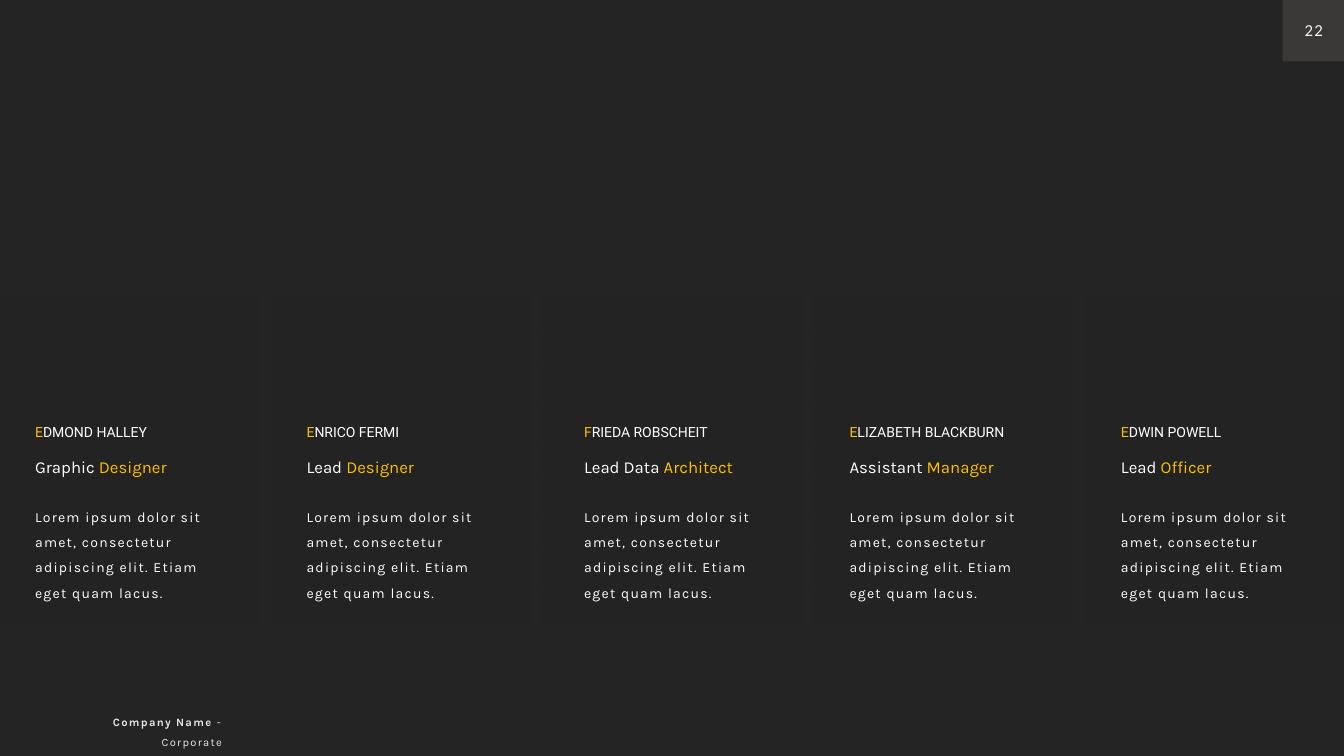
from lxml.etree import SubElement
from pptx import Presentation
from pptx.dml.color import RGBColor
from pptx.enum.shapes import MSO_SHAPE
from pptx.enum.text import MSO_ANCHOR, MSO_AUTO_SIZE, PP_ALIGN
from pptx.oxml.ns import qn
from pptx.util import Inches, Pt

COLOURS = {
    "background": "242424",
    "accent": "FFC000",
    "white": "FFFFFF",
    "badge": "3B3838",
    "number": "F2F2F2",
    "footer": "E7E6E6",
}
# name, first part of the role, highlighted part of the role
TEAM = [
    ("EDMOND HALLEY", "Graphic ", "Designer"),
    ("ENRICO FERMI", "Lead ", "Designer"),
    ("FRIEDA ROBSCHEIT", "Lead Data ", "Architect"),
    ("ELIZABETH BLACKBURN", "Assistant ", "Manager"),
    ("EDWIN POWELL", "Lead ", "Officer"),
]
BIOGRAPHY = "Lorem ipsum dolor sit amet, consectetur adipiscing elit. Etiam eget quam lacus."
PAGE_NUMBER = "22"
FOOTER = [("Company Name ", "footer", True), ("- Corporate", "footer", False)]

PAGE_WIDTH, PAGE_HEIGHT = 13.33, 7.5
PANEL_TOP, PANEL_WIDTH, PANEL_HEIGHT = 2.92, 2.56, 3.28
PANEL_STEP = (PAGE_WIDTH - PANEL_WIDTH) / (len(TEAM) - 1)
TEXT_INDENTS = [0.25, 0.25, 0.31, 0.25, 0.25]
NAME_WIDTHS = [1.77, 1.77, 1.77, 2.15, 1.77]
BADGE_SIZE = 0.61


def colour(name):
    return RGBColor.from_string(COLOURS[name])


def add_rectangle(page, left, top, width, height):
    shape = page.shapes.add_shape(
        MSO_SHAPE.RECTANGLE, Inches(left), Inches(top), Inches(width), Inches(height))
    shape.shadow.inherit = False
    shape.line.fill.background()
    return shape


def add_panel(page, left):
    """Add a rectangle fading downwards from clear to the background colour."""
    panel = add_rectangle(page, left, PANEL_TOP, PANEL_WIDTH, PANEL_HEIGHT)
    panel.fill.gradient()
    panel.fill.gradient_angle = 270
    for stop in panel.fill.gradient_stops:
        stop.color.rgb = colour("background")
    first_colour = next(panel.element.iter(qn("a:gs"))).find(qn("a:srgbClr"))
    SubElement(first_colour, qn("a:alpha"), val="0")


def add_text(page, left, top, width, height, spans, font, size,
             align=PP_ALIGN.LEFT, line_spacing=None, tracking=0, wrap=True):
    """Add one paragraph; spans are (text, colour name, bold), tracking is in points."""
    box = page.shapes.add_textbox(Inches(left), Inches(top), Inches(width), Inches(height))
    frame = box.text_frame
    frame.word_wrap = wrap
    frame.auto_size = MSO_AUTO_SIZE.SHAPE_TO_FIT_TEXT
    para = frame.paragraphs[0]
    para.alignment = align
    if line_spacing:
        para.line_spacing = line_spacing
    for text, colour_name, bold in spans:
        span = para.add_run()
        span.text = text
        span.font.name = font
        span.font.size = Pt(size)
        span.font.bold = bold
        span.font.color.rgb = colour(colour_name)
        if tracking:
            span.font._element.set("spc", str(round(tracking * 100)))
    return frame


def add_member(page, index):
    name, role, role_accent = TEAM[index]
    left = index * PANEL_STEP
    text_left = left + TEXT_INDENTS[index]
    add_panel(page, left)
    add_text(page, text_left, 4.15, NAME_WIDTHS[index], 0.27,
             [(name[0], "accent", False), (name[1:], "white", False)], "Roboto", 10)
    add_text(page, text_left, 4.48, 1.77, 0.31,
             [(role, "white", False), (role_accent, "accent", False)], "Karla", 12)
    add_text(page, text_left, 4.91, 2.06, 0.85, [(BIOGRAPHY, "white", False)],
             "Karla", 10, line_spacing=1.5, tracking=0.9)


def main():
    deck = Presentation()
    deck.slide_width, deck.slide_height = Inches(PAGE_WIDTH), Inches(PAGE_HEIGHT)
    page = deck.slides.add_slide(deck.slide_layouts[6])
    page.background.fill.solid()
    page.background.fill.fore_color.rgb = colour("background")

    for index in range(len(TEAM)):
        add_member(page, index)

    badge = add_rectangle(page, PAGE_WIDTH - BADGE_SIZE, 0, BADGE_SIZE, BADGE_SIZE)
    badge.fill.solid()
    badge.fill.fore_color.rgb = colour("badge")
    number = add_text(page, 12.83, 0.15, 0.4, 0.3, [(PAGE_NUMBER, "number", False)],
                      "Calibri", 12, PP_ALIGN.CENTER, tracking=0.9, wrap=False)
    number.vertical_anchor = MSO_ANCHOR.MIDDLE

    add_text(page, 0.47, 6.98, 1.83, 0.28, FOOTER, "Karla", 8,
             PP_ALIGN.RIGHT, line_spacing=1.5, tracking=0.9)
    deck.save("out.pptx")


if __name__ == "__main__":
    main()
